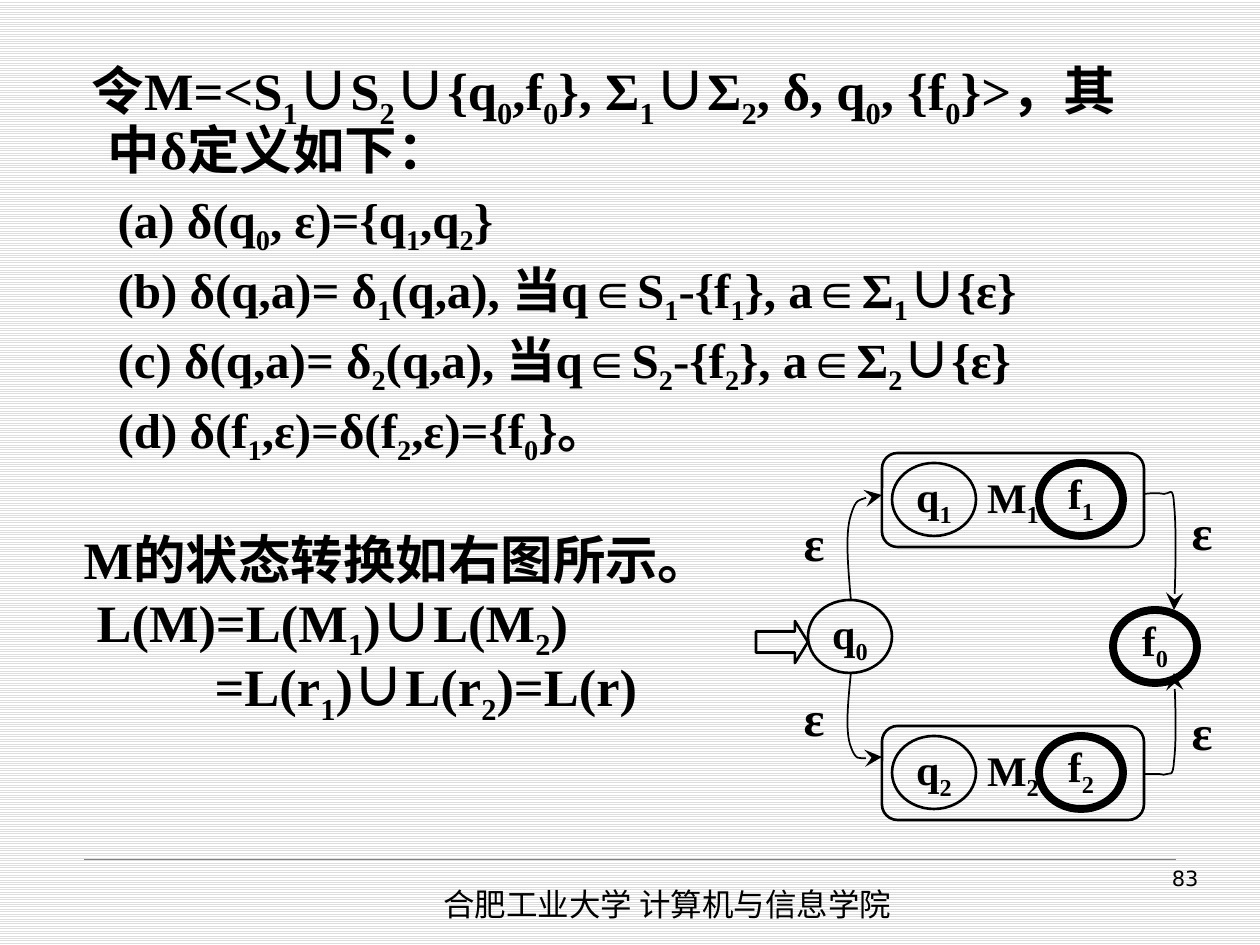
"""Build the slide that defines the union automaton M and draws its transitions."""
import dataclasses
import itertools

import pptx
import pptx.dml.color
import pptx.enum.dml
import pptx.enum.shapes
import pptx.enum.text
import pptx.oxml.ns
import pptx.util
from lxml import etree

SHAPE = pptx.enum.shapes.MSO_SHAPE
ALIGN = pptx.enum.text.PP_ALIGN
ANCHOR = pptx.enum.text.MSO_ANCHOR


@dataclasses.dataclass(frozen=True)
class Theme:
    ink: str = "000000"
    paper: str = "FFFFFF"
    stripe: str = "DDDDDD"
    rule: str = "808080"
    serif: str = "Times New Roman"
    chinese: str = "Noto Sans CJK SC"
    sans: str = "DejaVu Sans"
    lead: float = 30
    item: float = 28
    state: float = 24
    footer: float = 18
    number: float = 12


THEME = Theme()

LEAD = dict(size=THEME.lead, margin=64)
ITEM = dict(size=THEME.item, margin=93, indent=-19, before=5.6, level=1)
BODY = [
    ("令M=<S_1∪S_2∪{q_0,f_0}, Σ_1∪Σ_2, δ, q_0, {f_0}>，其中δ定义如下：", dict(LEAD, indent=-16)),
    ("(a) δ(q_0, ε)={q_1,q_2}", ITEM),
    ("(b) δ(q,a)= δ_1(q,a), 当q∈S_1-{f_1}, a∈Σ_1∪{ε}", ITEM),
    ("(c) δ(q,a)= δ_2(q,a), 当q∈S_2-{f_2}, a∈Σ_2∪{ε}", ITEM),
    ("(d) δ(f_1,ε)=δ(f_2,ε)={f_0}。", ITEM),
    ("M的状态转换如右图所示。", dict(LEAD, indent=-24, before=42)),
    ("L(M)=L(M_1)∪L(M_2)", dict(LEAD, indent=-11)),
    ("=L(r_1)∪L(r_2)=L(r)", dict(LEAD, indent=107)),
]
MACHINES = [("1", 453), ("2", 726)]
EPSILONS = [(756, 505), (756, 680), (1144, 494), (1144, 694)]
CURVES = [
    [(851, 600), (848, 566), (845, 533), (851, 515), (856, 498), (869, 496), (882, 495)],
    [(851, 673), (848, 703), (845, 732), (851, 747), (856, 761), (869, 759), (882, 757)],
    [(1144, 494), (1152, 493), (1159, 493), (1164, 494), (1169, 495), (1173, 484),
     (1174, 504), (1176, 523), (1176, 567), (1174, 610)],
    [(1144, 774), (1150, 774), (1156, 774), (1159, 774), (1163, 774), (1164, 776),
     (1167, 774), (1169, 772), (1173, 779), (1174, 761), (1176, 745), (1176, 709), (1174, 673)],
]
STATE_SIZE = (84, 73)


def px(length):
    return pptx.util.Emu(round(length * 914400 / 126))


def color(code):
    return pptx.dml.color.RGBColor.from_string(code)


def add_xml(parent, tag, **attributes):
    return etree.SubElement(parent, pptx.oxml.ns.qn(tag), attributes)


def split_marks(text):
    """Yield pieces of text with a flag for subscript and one for the union sign."""
    marked = [(char, before == "_", char == "∪")
              for before, char in zip(" " + text, text) if char != "_"]
    for flags, group in itertools.groupby(marked, key=lambda mark: mark[1:]):
        yield "".join(mark[0] for mark in group), *flags


def write(para, text, size, font=THEME.serif, bold=True, align=None,
          margin=0, indent=0, before=0, level=0, spacing=None):
    properties = para._p.get_or_add_pPr()
    properties.set("marL", str(px(margin)))
    properties.set("indent", str(px(indent)))
    para.level = level
    para.alignment = align
    para.line_spacing = spacing
    para.space_before = pptx.util.Pt(before)
    add_xml(properties, "a:buNone")
    for piece, subscript, union in split_marks(text):
        span = para.add_run()
        span.text = piece
        span.font.size = pptx.util.Pt(size)
        span.font.bold = bold
        span.font.color.rgb = color(THEME.ink)
        span.font.name = THEME.chinese if union else font
        run_properties = span._r.get_or_add_rPr()
        add_xml(run_properties, "a:ea", typeface=THEME.chinese)
        if subscript:
            run_properties.set("baseline", "-25000")


def add_text(shapes, area, text, anchor=ANCHOR.TOP, wrap=True, **style):
    box = shapes.add_textbox(*map(px, area))
    box.text_frame.word_wrap = wrap
    box.text_frame.vertical_anchor = anchor
    write(box.text_frame.paragraphs[0], text, **style)


def outline(shape, width):
    shape.shadow.inherit = False
    shape.fill.background()
    shape.line.color.rgb = color(THEME.ink)
    shape.line.width = pptx.util.Pt(width)


def add_outlined(shapes, kind, area, text="", width=1.5, top=6):
    shape = shapes.add_shape(kind, *map(px, area))
    outline(shape, width)
    frame = shape.text_frame
    frame.word_wrap = False
    frame.vertical_anchor = ANCHOR.MIDDLE
    frame.margin_top = px(top)
    if text:
        write(frame.paragraphs[0], text, size=THEME.state, align=ALIGN.CENTER)
    return shape


def add_state(shapes, left, top, text, final=False):
    style = dict(width=4.5, top=0) if final else {}
    add_outlined(shapes, SHAPE.OVAL, (left, top, *STATE_SIZE), text, **style)


def add_machine(page, index, top):
    shapes = page.shapes.add_group_shape().shapes
    add_outlined(shapes, SHAPE.ROUNDED_RECTANGLE, (882, top, 262, 94), f"M_{index}")
    add_state(shapes, 892, top + 10, f"q_{index}")
    add_state(shapes, 1039, top + 10, f"f_{index}", final=True)


def add_curve(page, knots):
    """Draw a chain of cubic curves, each with two control points and an end."""
    builder = page.shapes.build_freeform(*map(px, knots[0]))
    builder.add_line_segments([tuple(map(px, knot)) for knot in knots[1:]], close=False)
    shape = builder.convert_to_shape()
    segments = list(shape._element.iter(pptx.oxml.ns.qn("a:lnTo")))
    outlines = segments[0].getparent()
    for start in range(0, len(segments), 3):
        cubic = add_xml(outlines, "a:cubicBezTo")
        for segment in segments[start:start + 3]:
            cubic.append(segment[0])
            outlines.remove(segment)
    outline(shape, 1)
    add_xml(shape.line._get_or_add_ln(), "a:tailEnd", type="stealth", w="lg", len="lg")


def add_body(page):
    body = page.placeholders[1]
    body.left, body.top, body.width, body.height = map(px, (31, 53, 1124, 588))
    frame = body.text_frame
    frame.auto_size = pptx.enum.text.MSO_AUTO_SIZE.NONE
    frame.vertical_anchor = ANCHOR.TOP
    for number, (text, style) in enumerate(BODY):
        para = frame.add_paragraph() if number else frame.paragraphs[0]
        write(para, text, spacing=0.9, align=ALIGN.LEFT, **style)


def add_footer(page):
    rule = page.shapes.add_connector(
        pptx.enum.shapes.MSO_CONNECTOR.STRAIGHT, *map(px, (84, 859, 1176, 859)))
    rule.line.color.rgb = color(THEME.rule)
    rule.line.width = pptx.util.Pt(0.25)
    add_xml(rule._element.spPr, "a:effectLst")
    add_text(page.shapes, (431, 879, 595, 50), "合肥工业大学 计算机与信息学院",
             size=THEME.footer, font=THEME.chinese, bold=False)
    add_text(page.shapes, (937, 859, 274, 66), "83", size=THEME.number,
             font=THEME.sans, bold=False, align=ALIGN.RIGHT)


def main():
    deck = pptx.Presentation()
    deck.slide_width, deck.slide_height = px(1260), px(945)
    page = deck.slides.add_slide(deck.slide_layouts[1])
    title = page.shapes.title._element
    title.getparent().remove(title)
    fill = page.background.fill
    fill.patterned()
    fill.pattern = pptx.enum.dml.MSO_PATTERN.LIGHT_HORIZONTAL
    fill.fore_color.rgb = color(THEME.stripe)
    fill.back_color.rgb = color(THEME.paper)
    add_footer(page)
    add_body(page)
    add_state(page.shapes, 808, 600, "q_0")
    arrow = add_outlined(page.shapes, SHAPE.RIGHT_ARROW, (756, 621, 52, 42))
    arrow.adjustments[1] = 0.31
    add_state(page.shapes, 1113, 610, "f_0", final=True)
    for index, top in MACHINES:
        add_machine(page, index, top)
    for knots in CURVES:
        add_curve(page, knots)
    for left, top in EPSILONS:
        add_text(page.shapes, (left, top, 116, 73), "ε", anchor=ANCHOR.MIDDLE,
                 wrap=False, size=THEME.item, align=ALIGN.CENTER)
    deck.save("out.pptx")


if __name__ == "__main__":
    main()
